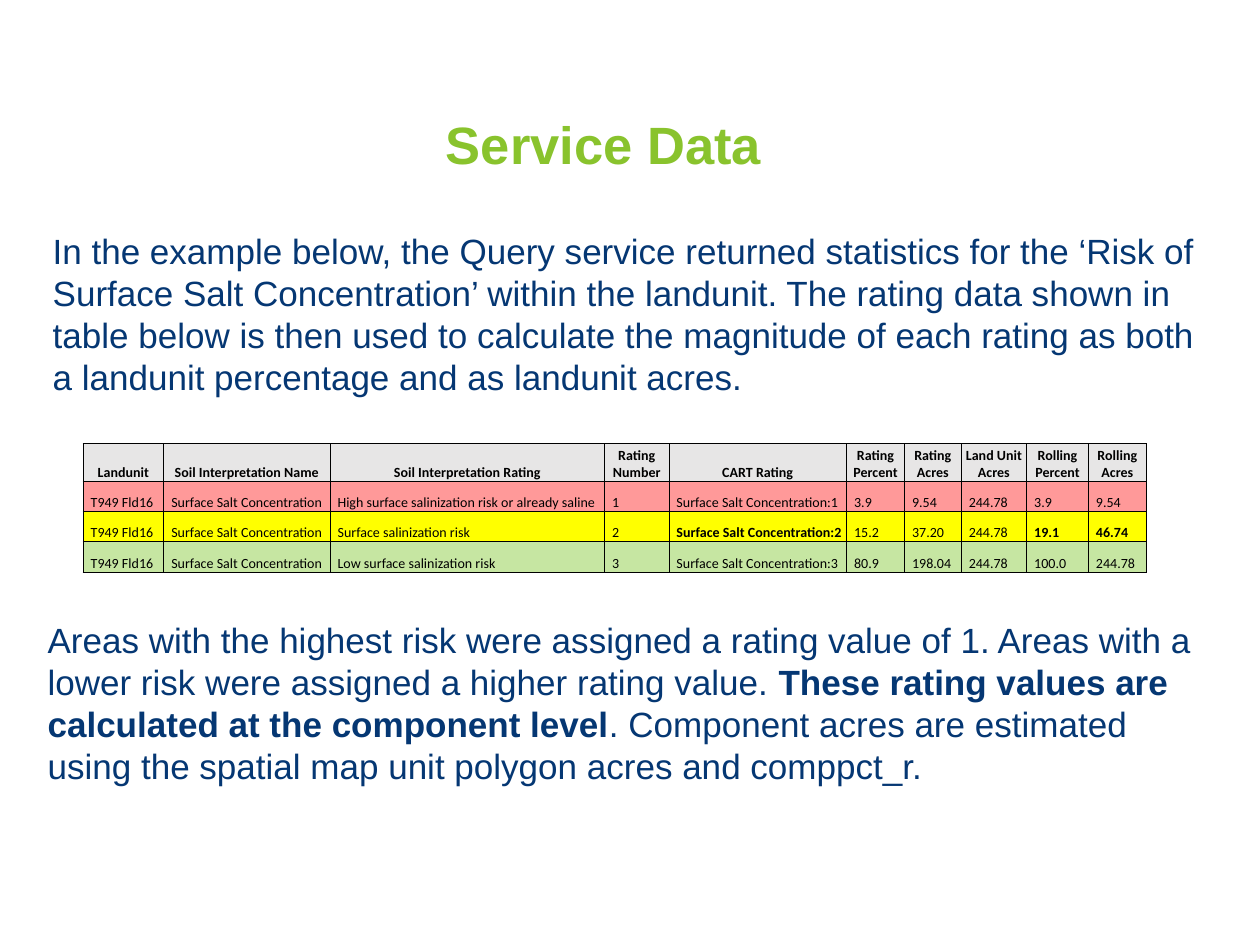
from lxml import etree
from pptx import Presentation
from pptx.dml.color import RGBColor
from pptx.enum.text import MSO_ANCHOR, PP_ALIGN
from pptx.oxml.ns import qn
from pptx.util import Inches, Pt

BOTTOM, MIDDLE = MSO_ANCHOR.BOTTOM, MSO_ANCHOR.MIDDLE
CENTER, LEFT = PP_ALIGN.CENTER, PP_ALIGN.LEFT
NAVY = RGBColor(0x05, 0x37, 0x73)
LIME = RGBColor(0x89, 0xC3, 0x2D)
BLACK = RGBColor(0, 0, 0)
GRAY = RGBColor(0xE7, 0xE6, 0xE6)
PINK = RGBColor(0xFF, 0x99, 0x99)
YELLOW = RGBColor(0xFF, 0xFF, 0)
GREEN = RGBColor(0xC6, 0xE6, 0xA2)

INTRO = [("In the example below, the Query service returned statistics for the ‘Risk of "
          "Surface Salt Concentration’ within the landunit. The rating data shown in table "
          "below is then used to calculate the magnitude of each rating as both a landunit "
          "percentage and as landunit acres.", False)]
NOTES = [("Areas with the highest risk were assigned a rating value of 1. Areas with a "
          "lower risk were assigned a higher rating value. ", False),
         ("These rating values are calculated at the component level", True),
         (". Component acres are estimated using the spatial map unit polygon acres "
          "and comppct_r.", False)]
HEADS = ["Landunit", "Soil Interpretation Name", "Soil Interpretation Rating",
         "Rating Number", "CART Rating", "Rating Percent", "Rating Acres",
         "Land Unit Acres", "Rolling Percent", "Rolling Acres"]
UNIT, SALT, TOTAL = "T949 Fld16", "Surface Salt Concentration", "244.78"
RISKS = [("High surface salinization risk or already saline", "3.9", "9.54", "3.9", "9.54"),
         ("Surface salinization risk", "15.2", "37.20", "19.1", "46.74"),
         ("Low surface salinization risk", "80.9", "198.04", "100.0", "244.78")]
ROWS = [HEADS] + [[UNIT, SALT, risk, str(n), f"{SALT}:{n}", pct, acres, TOTAL, sum_pct, sum_acres]
                  for n, (risk, pct, acres, sum_pct, sum_acres) in enumerate(RISKS, 1)]
FILLS = [GRAY, PINK, YELLOW, GREEN]
WIDTHS = [0.64, 1.32, 2.18, 0.51, 1.41, 0.46, 0.45, 0.52, 0.49, 0.46]
HEIGHTS = [0.3, 0.24, 0.24, 0.24]
BOLD = {(2, 4), (2, 8), (2, 9)}


class Deck:
    """Holds the style and the current slide."""

    def __init__(self):
        self.prs = Presentation()
        self.prs.slide_width, self.prs.slide_height = Inches(10), Inches(7.5)
        self.slide = self.prs.slides.add_slide(self.prs.slide_layouts[5])

    def style(self, para, face, size, color, bold=None):
        font = para.font
        font.name, font.size, font.bold = face, Pt(size), bold
        font.color.rgb = color

    def title(self, text, x, y, w, h):
        box = self.slide.shapes.title
        box.left, box.top, box.width, box.height = map(Inches, (x, y, w, h))
        box.text_frame.text = text
        box.text_frame.vertical_anchor = MIDDLE
        para = box.text_frame.paragraphs[0]
        para.alignment, para.line_spacing = CENTER, 0.9
        self.style(para, "Arial", 30, LIME, True)

    def text(self, runs, x, y, w, h):
        frame = self.slide.shapes.add_textbox(*map(Inches, (x, y, w, h))).text_frame
        frame.word_wrap = True
        para = frame.paragraphs[0]
        para.line_spacing = Pt(24)
        self.style(para, "Arial", 20, NAVY)
        for words, bold in runs:
            run = para.add_run()
            run.text = words
            if bold:
                run.font.bold = True

    def edges(self, cell, row, col):
        def flat(r):
            return r == 0 or (col >= 8 and r in (1, 2))

        def side(c):
            return row == 2 and c in (7, 9)

        heavy = {"L": side(col - 1), "R": side(col), "T": flat(row - 1), "B": flat(row)}
        props = cell._tc.get_or_add_tcPr()
        for n, (name, thick) in enumerate(heavy.items()):
            line = etree.Element(qn(f"a:ln{name}"), w=str(Pt(1 if thick else 0.5)))
            fill = etree.SubElement(line, qn("a:solidFill"))
            etree.SubElement(fill, qn("a:srgbClr"), val=str(BLACK))
            props.insert(n, line)

    def cell(self, cell, text, row, col):
        head = row == 0
        cell.text = text
        cell.vertical_anchor = BOTTOM
        cell.margin_left = Inches(0.01 if head else 0.06)
        cell.margin_top = cell.margin_right = Inches(0.01)
        cell.margin_bottom = 0
        cell.fill.solid()
        cell.fill.fore_color.rgb = FILLS[row]
        para = cell.text_frame.paragraphs[0]
        para.alignment = CENTER if head else LEFT
        self.style(para, "Calibri", 8, BLACK, head or (row, col) in BOLD)
        self.edges(cell, row, col)

    def table(self, x, y):
        size = map(Inches, (x, y, sum(WIDTHS), sum(HEIGHTS)))
        table = self.slide.shapes.add_table(len(ROWS), len(HEADS), *size).table
        table.first_row = table.horz_banding = False
        for col, width in zip(table.columns, WIDTHS):
            col.width = Inches(width)
        for r, texts in enumerate(ROWS):
            table.rows[r].height = Inches(HEIGHTS[r])
            for c, text in enumerate(texts):
                self.cell(table.cell(r, c), text, r, c)


def main():
    deck = Deck()
    deck.text(NOTES, 0.28, 4.86, 9.47, 1.45)
    deck.text(INTRO, 0.32, 1.77, 9.47, 1.45)
    deck.title("Service Data", 0.29, 0.81, 9, 0.73)
    deck.table(0.66, 3.52)
    deck.prs.save("out.pptx")


if __name__ == "__main__":
    main()
